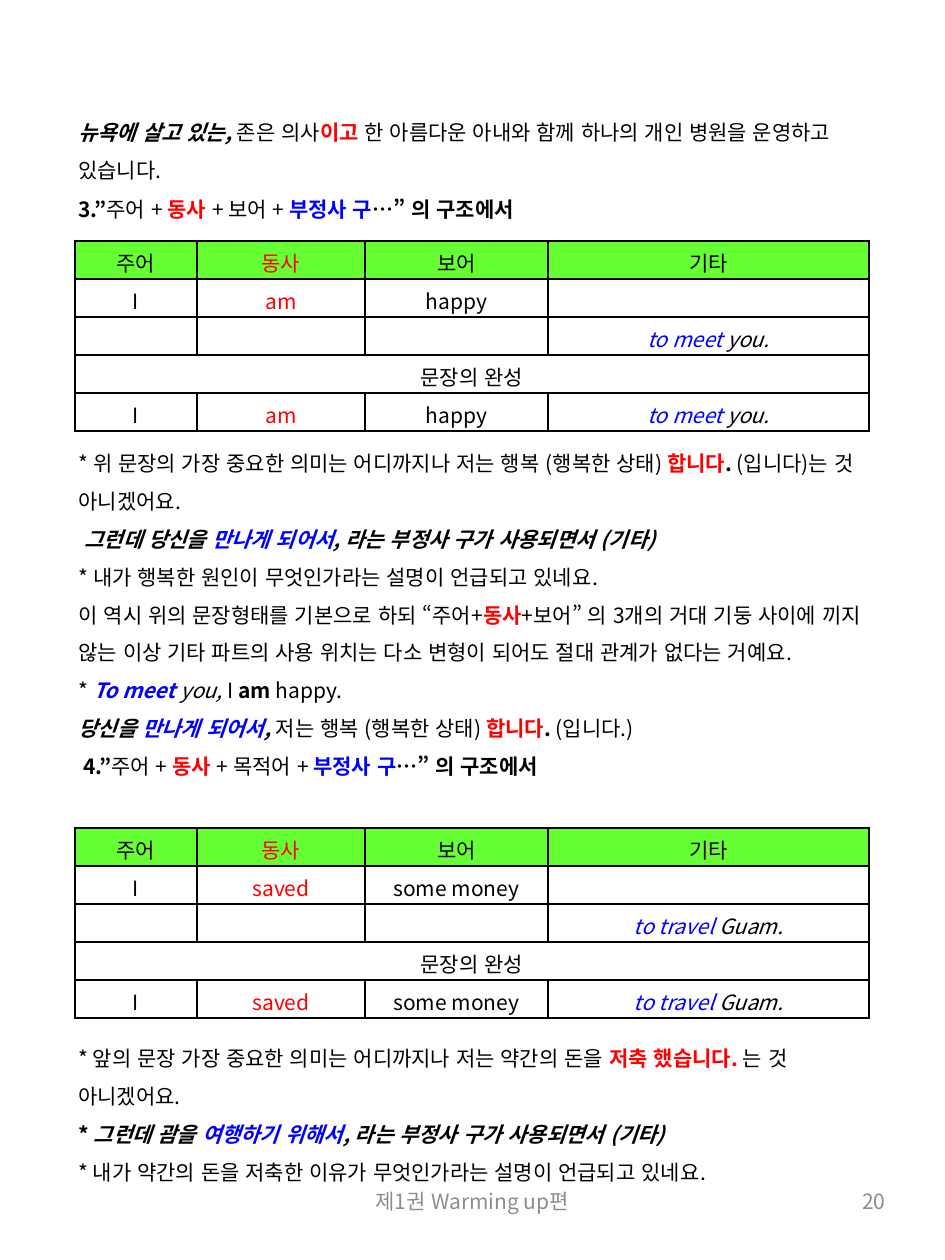
import dataclasses
import typing

import pptx
import pptx.dml.color
import pptx.enum.lang
import pptx.enum.text
import pptx.oxml
import pptx.oxml.ns
import pptx.util
from lxml import etree

PX = 914400 / 126
ALIGN = pptx.enum.text.PP_ALIGN
ANCHOR = pptx.enum.text.MSO_ANCHOR


def px(n: int) -> pptx.util.Emu:
    return pptx.util.Emu(round(n * PX))


@dataclasses.dataclass(frozen=True)
class Theme:
    font: str = "Noto Sans CJK KR"
    size: int = 12
    leading: float = 21.6
    border: int = 1
    black: str = "000000"
    white: str = "FFFFFF"
    red: str = "FF0000"
    blue: str = "0000FF"
    green: str = "66FF33"
    gray: str = "8C8C8C"


THEME = Theme()


@dataclasses.dataclass(frozen=True)
class Run:
    text: str
    color: str = THEME.black
    bold: bool = False
    italic: bool = False


@dataclasses.dataclass(frozen=True)
class Box:
    left: int
    top: int
    width: int
    height: int


@dataclasses.dataclass(frozen=True)
class Example:
    top: int
    verb: str
    complement: str
    infinitive: str
    rest: str


Para = typing.List[Run]


def strong(text: str, color: str = THEME.black) -> Run:
    return Run(text, color, bold=True)


def accent(text: str, color: str = THEME.black) -> Run:
    return Run(text, color, bold=True, italic=True)


def heading(number: str, part: str) -> Para:
    return [strong(number + ".”"), Run("주어 + "), strong("동사 ", THEME.red),
            Run(f"+ {part} + "), strong("부정사 구", THEME.blue), strong("…” 의 구조에서")]


def infinitive_note(lead: Para, phrase: str) -> Para:
    return [*lead, accent(phrase, THEME.blue), accent(", 라는 부정사 구가 사용되면서 (기타)")]


def add_runs(p, runs: Para) -> None:
    for run in runs:
        r = p.add_run()
        r.text = run.text
        f = r.font
        f.name, f.size = THEME.font, pptx.util.Pt(THEME.size)
        f.bold, f.italic = run.bold, run.italic
        f.color.rgb = pptx.dml.color.RGBColor.from_string(run.color)
        f.language_id = pptx.enum.lang.MSO_LANGUAGE_ID.KOREAN
        ea = etree.SubElement(r._r.get_or_add_rPr(), pptx.oxml.ns.qn("a:ea"))
        ea.set("typeface", THEME.font)


def write(sp, box: Box, paras: typing.List[Para], leading: typing.Optional[float] = None,
          align=ALIGN.LEFT, anchor=ANCHOR.TOP) -> None:
    sp.left, sp.top = px(box.left), px(box.top)
    sp.width, sp.height = px(box.width), px(box.height)
    tf = sp.text_frame
    tf.word_wrap = True
    tf.auto_size = pptx.enum.text.MSO_AUTO_SIZE.NONE
    tf.vertical_anchor = anchor
    for i, runs in enumerate(paras):
        p = tf.paragraphs[0] if i == 0 else tf.add_paragraph()
        p.alignment = align
        p.space_before = p.space_after = pptx.util.Pt(0)
        if leading:
            p.line_spacing = pptx.util.Pt(leading)
        pPr = p._p.get_or_add_pPr()
        pPr.set("marL", "0")
        pPr.set("indent", "0")
        etree.SubElement(pPr, pptx.oxml.ns.qn("a:buNone"))
        add_runs(p, runs)


def add_text(s, box: Box, paras: typing.List[Para], **style) -> None:
    sp = s.shapes.add_textbox(0, 0, px(box.width), px(box.height))
    write(sp, box, paras, **style)


def format_cell(cell, runs: Para, fill: str) -> None:
    cell.fill.solid()
    cell.fill.fore_color.rgb = pptx.dml.color.RGBColor.from_string(fill)
    cell.margin_top, cell.margin_bottom = px(6), 0
    p = cell.text_frame.paragraphs[0]
    p.alignment = ALIGN.CENTER
    add_runs(p, runs)
    if not runs:
        end = etree.SubElement(p._p, pptx.oxml.ns.qn("a:endParaRPr"))
        end.set("sz", str(THEME.size * 100))
    tcPr = cell._tc.get_or_add_tcPr()
    for i, side in enumerate(("lnL", "lnR", "lnT", "lnB")):
        tcPr.insert(i, pptx.oxml.parse_xml(
            f'<a:{side} {pptx.oxml.ns.nsdecls("a")} w="{pptx.util.Pt(THEME.border)}">'
            f'<a:solidFill><a:srgbClr val="{THEME.black}"/></a:solidFill></a:{side}>'))


def add_example(s, ex: Example) -> None:
    clause = [[Run("I")], [Run(ex.verb, THEME.red)], [Run(ex.complement)]]
    phrase = [Run(ex.infinitive, THEME.blue, italic=True), Run(ex.rest, italic=True)]
    rows = [
        [[Run("주어")], [Run("동사", THEME.red)], [Run("보어")], [Run("기타")]],
        [*clause, []],
        [[], [], [], phrase],
        [[Run("문장의 완성")], [], [], []],
        [*clause, phrase],
    ]
    widths, row_height = (122, 168, 183, 321), 38
    tbl = s.shapes.add_table(len(rows), len(widths), px(75), px(ex.top),
                             px(sum(widths)), px(row_height * len(rows))).table
    for col, width in zip(tbl.columns, widths):
        col.width = px(width)
    for i, row in enumerate(rows):
        tbl.rows[i].height = px(row_height)
        for j, runs in enumerate(row):
            format_cell(tbl.cell(i, j), runs, THEME.white if i else THEME.green)
    tbl.cell(3, 0).merge(tbl.cell(3, 3))


def main() -> None:
    prs = pptx.Presentation()
    prs.slide_width, prs.slide_height = px(945), px(1260)
    s = prs.slides.add_slide(prs.slide_layouts[1])
    add_text(s, Box(66, 101, 814, 165), [
        [accent("뉴욕에 살고 있는, "), Run("존은 의사"), strong("이고", THEME.red),
         Run(" 한 아름다운 아내와 함께 하나의 개인 병원을 운영하고 있습니다.")],
    ], leading=THEME.leading)
    write(s.shapes.title, Box(66, 190, 525, 42), [heading("3", "보어")])
    add_example(s, Example(241, "am", "happy", "to meet ", "you."))
    write(s.placeholders[1], Box(66, 432, 814, 394), [
        [Run("* 위 문장의 가장 중요한 의미는 어디까지나 저는 행복 (행복한 상태)"),
         strong(" 합니다", THEME.red), strong(". "), Run("(입니다)는 것 아니겠어요.")],
        infinitive_note([accent(" 그런데 당신을 ")], "만나게 되어서"),
        [Run("* 내가 행복한 원인이 무엇인가라는 설명이 언급되고 있네요.")],
        [Run("이 역시 위의 문장형태를 기본으로 하되 “주어+"), strong("동사", THEME.red),
         Run("+보어” 의 3개의 거대 기둥 사이에 끼지 않는 이상 기타 파트의 사용 위치는 "
             "다소 변형이 되어도 절대 관계가 없다는 거예요.")],
        [Run("* "), accent("To meet ", THEME.blue), Run("you, ", italic=True),
         Run("I "), strong("am "), Run("happy.")],
        [accent("당신을 "), accent("만나게 되어서", THEME.blue), accent(", "),
         Run("저는 행복 (행복한 상태) "), strong("합니다", THEME.red), strong(". "),
         Run("(입니다.)")],
        heading(" 4", "목적어"),
    ], leading=THEME.leading)
    add_example(s, Example(828, "saved", "some money", "to travel ", "Guam."))
    add_text(s, Box(66, 1027, 804, 165), [
        [Run("* 앞의 문장 가장 중요한 의미는 어디까지나 저는 약간의 돈을 "),
         strong("저축 했습니다. ", THEME.red), Run("는 것 아니겠어요.")],
        infinitive_note([strong("*"), accent(" 그런데 괌을 ")], "여행하기 위해서"),
        [Run("* 내가 약간의 돈을 저축한 이유가 무엇인가라는 설명이 언급되고 있네요.")],
    ], leading=THEME.leading)
    add_text(s, Box(678, 1168, 220, 67), [[Run("20", THEME.gray)]],
             align=ALIGN.RIGHT, anchor=ANCHOR.MIDDLE)
    add_text(s, Box(322, 1168, 300, 67), [[Run("제1권 Warming up편", THEME.gray)]],
             align=ALIGN.CENTER, anchor=ANCHOR.MIDDLE)
    prs.save("out.pptx")


if __name__ == "__main__":
    main()
